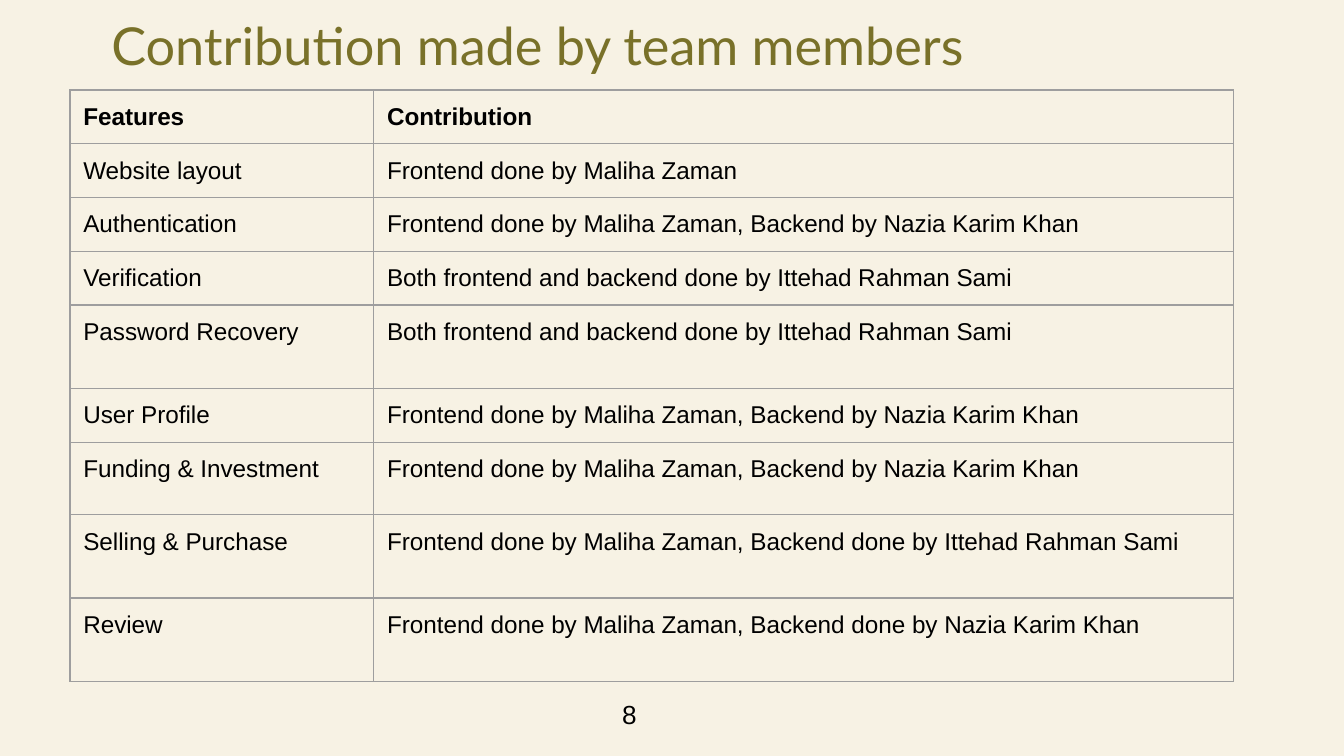
import pptx
import pptx.dml.color
import pptx.enum.text
import pptx.oxml
import pptx.oxml.ns
import pptx.util
from pptx.util import Inches

COLORS = {"background": "F7F2E4", "title": "797129", "text": "000000", "border": "9E9E9E"}
INSET = Inches(0.1)
CELL_BOTTOM_INSET = Inches(0.08)  # keeps one-line rows at their set height
BORDER_WIDTH = pptx.util.Pt(0.75)

MALIHA = "Frontend done by Maliha Zaman"
MALIHA_NAZIA = MALIHA + ", Backend by Nazia Karim Khan"
ITTEHAD = "Both frontend and backend done by Ittehad Rahman Sami"

# Feature, contribution, row height in inches
ROWS = [
    ("Features", "Contribution", 0.4),
    ("Website layout", MALIHA, 0.4),
    ("Authentication", MALIHA_NAZIA, 0.4),
    ("Verification", ITTEHAD, 0.4),
    ("Password Recovery", ITTEHAD, 0.62),
    ("User Profile", MALIHA_NAZIA, 0.4),
    ("Funding & Investment", MALIHA_NAZIA, 0.54),
    ("Selling & Purchase", MALIHA + ", Backend done by Ittehad Rahman Sami", 0.62),
    ("Review", MALIHA + ", Backend done by Nazia Karim Khan", 0.62),
]


def rgb(name):
    return pptx.dml.color.RGBColor.from_string(COLORS[name])


def add_run(paragraph, text, size, font="Arial", color="text", bold=False):
    run = paragraph.add_run()
    run.text = text
    run.font.name = font
    run.font.size = pptx.util.Pt(size)
    run.font.bold = bold
    run.font.color.rgb = rgb(color)


def add_line(slide, box, text, size, **style):
    """Place one line of text in a box of left, top, width, height."""
    frame = slide.shapes.add_textbox(*map(Inches, box)).text_frame
    frame.word_wrap = True
    frame.vertical_anchor = pptx.enum.text.MSO_ANCHOR.TOP
    frame.margin_left = frame.margin_right = INSET
    frame.margin_top = frame.margin_bottom = INSET
    add_run(frame.paragraphs[0], text, size, **style)


def set_borders(cell):
    properties = cell._tc.get_or_add_tcPr()
    for index, side in enumerate(("lnL", "lnR", "lnT", "lnB")):
        border = pptx.oxml.parse_xml(
            f'<a:{side} {pptx.oxml.ns.nsdecls("a")} w="{BORDER_WIDTH}">'
            f'<a:solidFill><a:srgbClr val="{COLORS["border"]}"/></a:solidFill>'
            f'<a:prstDash val="solid"/></a:{side}>')
        properties.insert(index, border)


def add_contributions(slide, left, top, column_widths):
    width = sum(column_widths)
    height = sum(row[-1] for row in ROWS)
    table = slide.shapes.add_table(
        len(ROWS), len(column_widths),
        Inches(left), Inches(top), Inches(width), Inches(height)).table
    table.first_row = table.horz_banding = False
    for column, column_width in zip(table.columns, column_widths):
        column.width = Inches(column_width)
    for row_index, (feature, contribution, row_height) in enumerate(ROWS):
        table.rows[row_index].height = Inches(row_height)
        for column_index, text in enumerate((feature, contribution)):
            cell = table.cell(row_index, column_index)
            cell.margin_left = cell.margin_right = cell.margin_top = INSET
            cell.margin_bottom = CELL_BOTTOM_INSET
            cell.fill.background()
            set_borders(cell)
            add_run(cell.text_frame.paragraphs[0], text, 13, bold=row_index == 0)


def main():
    deck = pptx.Presentation()
    deck.slide_width = Inches(10)
    deck.slide_height = deck.slide_width * 9 // 16
    slide = deck.slides.add_slide(deck.slide_layouts[6])
    slide.background.fill.solid()
    slide.background.fill.fore_color.rgb = rgb("background")

    # Title
    add_line(slide, (0.73, 0, 8.44, 0.61), "Contribution made by team members", 28,
             font="Lato", color="title")
    # Features and who built them
    add_contributions(slide, 0.52, 0.67, (2.26, 6.4))
    # Page number
    add_line(slide, (4.53, 5.1, 0.51, 0.44), "8", 14)

    deck.save("out.pptx")


if __name__ == "__main__":
    main()
